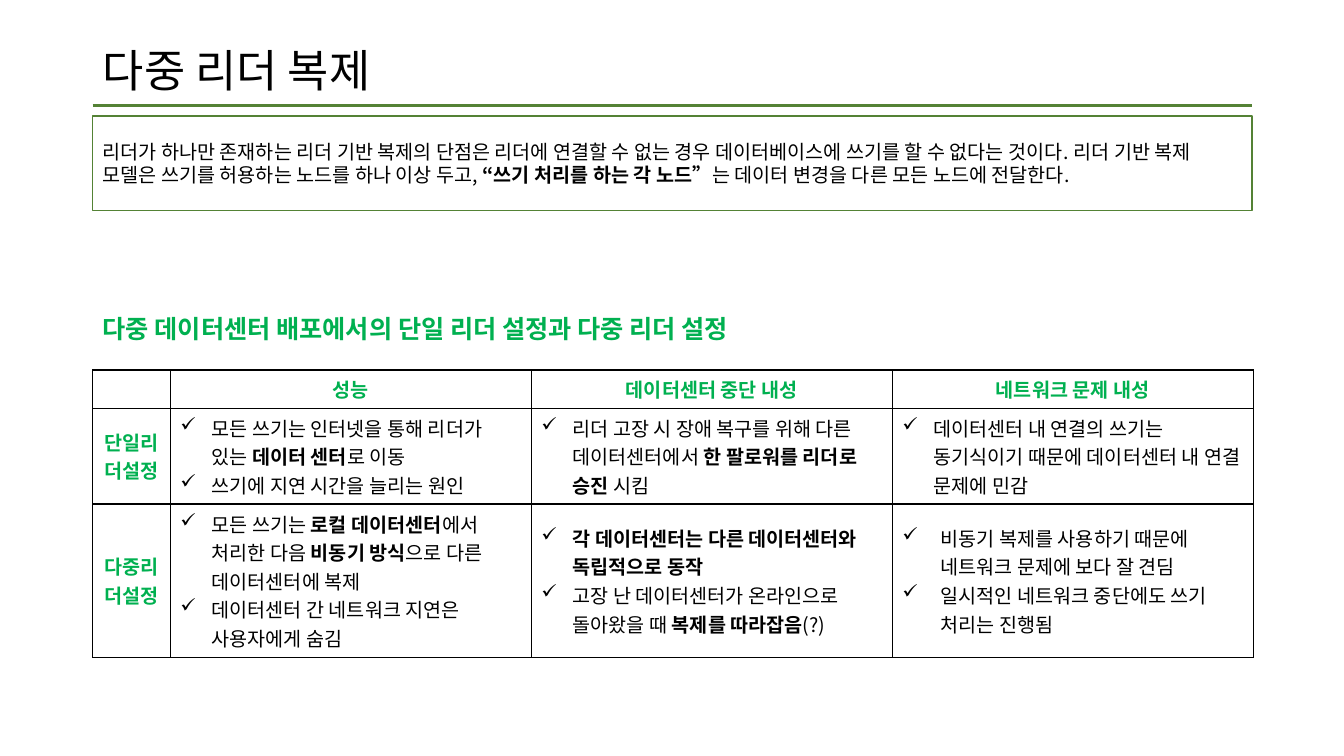
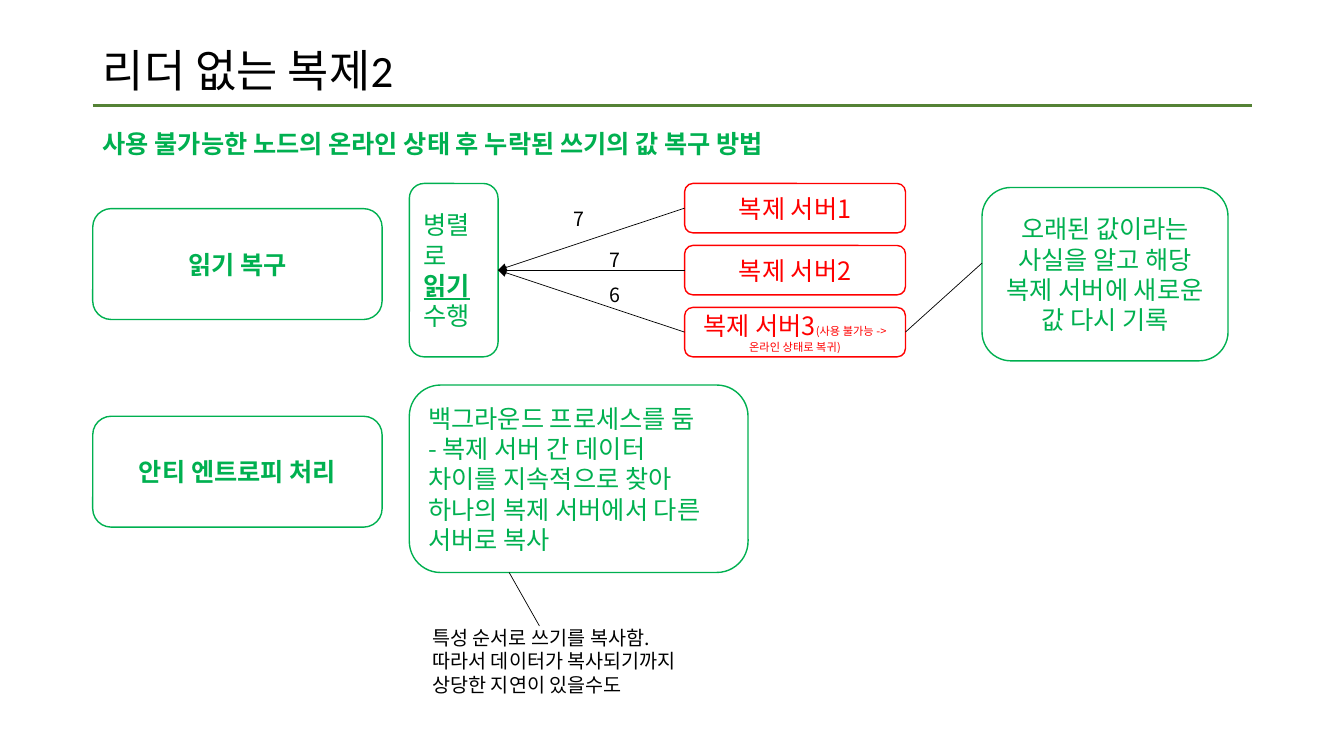
from lxml import etree
from pptx import Presentation, util as u
from pptx.dml.color import RGBColor
from pptx.enum import shapes, text
from pptx.oxml import ns

PX = 9144  # EMU in one px, 100 px to the inch
SLIDE_W, SLIDE_H = 1333, 750
LEFT, WIDTH = 92, 1150
TITLE_TOP, TITLE_H = 40, 65
TITLE_FONT, BODY_FONT = "Calibri", "Noto Sans CJK KR"
TITLE_LAYOUT = 5

BLACK = RGBColor(0, 0, 0)
WHITE = RGBColor(255, 255, 255)
GREEN = RGBColor(0x00, 0xB0, 0x50)
OLIVE = RGBColor(0x54, 0x82, 0x35)
RED = RGBColor(255, 0, 0)

CENTER, START = text.PP_ALIGN.CENTER, text.PP_ALIGN.LEFT
BOLD = {"bold": True}
UNDERLINED = {"bold": True, "underline": True}
NOTE = {"size": u.Pt(8)}

# A text is a list of paragraphs, a paragraph a list of runs,
# a run a string or a (string, font settings) pair.
INTRO = [[
    "리더가 하나만 존재하는 리더 기반 복제의 단점은 리더에 연결할 수 없는 경우 "
    "데이터베이스에 쓰기를 할 수 없다는 것이다. 리더 기반 복제 모델은 쓰기를 "
    "허용하는 노드를 하나 이상 두고, ",
    ("“쓰기 처리를 하는 각 노드”", BOLD),
    "는 데이터 변경을 다른 모든 노드에 전달한다.",
]]
HEADERS = ["", "성능", "데이터센터 중단 내성", "네트워크 문제 내성"]
SETUPS = [
    ("단일리더설정", [
        [["모든 쓰기는 인터넷을 통해 리더가 있는 ", ("데이터 센터", BOLD), "로 이동"],
         ["쓰기에 지연 시간을 늘리는 원인"]],
        [["리더 고장 시 장애 복구를 위해 다른 데이터센터에서 ",
          ("한 팔로워를 리더로 승진", BOLD), " 시킴"]],
        [["데이터센터 내 연결의 쓰기는 동기식이기 때문에 데이터센터 내 연결 문제에 민감"]],
    ]),
    ("다중리더설정", [
        [["모든 쓰기는 ", ("로컬 데이터센터", BOLD), "에서 처리한 다음 ",
          ("비동기 방식", BOLD), "으로 다른 데이터센터에 복제"],
         ["데이터센터 간 네트워크 지연은 사용자에게 숨김"]],
        [[("각 데이터센터는 다른 데이터센터와 독립적으로 동작", BOLD)],
         ["고장 난 데이터센터가 온라인으로 돌아왔을 때 ",
          ("복제를 따라잡음", BOLD), "(?)"]],
        [["비동기 복제를 사용하기 때문에 네트워크 문제에 보다 잘 견딤"],
         ["일시적인 네트워크 중단에도 쓰기 처리는 진행됨"]],
    ]),
]
COL_WIDTHS = [77, 358, 358, 358]
ROW_HEIGHTS = [38, 95, 152]
INDENT, WIDE_INDENT = 31, 38

METHODS = [("읽기 복구", 207), ("안티 엔트로피 처리", 413)]
METHOD_W, METHOD_H = 287, 110
READ = [["병렬로"], [("읽기", UNDERLINED), " 수행"]]
READ_BOX = (406, 182, 88, 172)
SERVERS = [
    [["복제 서버1"]],
    [["복제 서버2"]],
    [["복제 서버3", ("(사용 불가능 -> 온라인 상태로 복귀)", NOTE)]],
]
SERVER_LEFT, SERVER_W, SERVER_H = 679, 219, 49
VERSIONS = [("7", 559, 203), ("7", 595, 244), ("6", 595, 278)]
REWRITE = [["오래된 값이라는 사실을 알고 해당 복제 서버에 새로운 값 다시 기록"]]
BACKGROUND = [
    ["백그라운드 프로세스를 둠"],
    ["- 복제 서버 간 데이터 차이를 지속적으로 찾아 하나의 복제 서버에서 다른 서버로 복사"],
]
DELAY = [
    ["특성 순서로 쓰기를 복사함."],
    ["따라서 데이터가 복사되기까지 상당한 지연이 있을수도"],
]


def px(*lengths):
    return [u.Emu(round(n * PX)) for n in lengths]


def write(tf, paragraphs, size, color, align=START, spacing=1.0,
          font=BODY_FONT, base=None):
    tf.word_wrap = True
    for i, runs in enumerate(paragraphs):
        p = tf.add_paragraph() if i else tf.paragraphs[0]
        p.alignment, p.line_spacing = align, spacing
        for item in runs:
            content, style = item if isinstance(item, tuple) else (item, {})
            r = p.add_run()
            r.text = content
            settings = {"name": font, "size": u.Pt(size), "bold": False}
            for key, value in {**settings, **(base or {}), **style}.items():
                setattr(r.font, key, value)
            r.font.color.rgb = color
            east_asian = etree.SubElement(r.font._element, ns.qn("a:ea"))
            east_asian.set("typeface", BODY_FONT)


def add_box(slide, box, paragraphs, color, line, size=18, align=CENTER, fill=None,
            kind=shapes.MSO_SHAPE.ROUNDED_RECTANGLE, base=None, insets=(10, 10)):
    sp = slide.shapes.add_shape(kind, *px(*box))
    sp.shadow.inherit = False
    if fill is None:
        sp.fill.background()
    else:
        sp.fill.solid()
        sp.fill.fore_color.rgb = fill
    sp.line.color.rgb, sp.line.width = line, u.Pt(1)
    tf = sp.text_frame
    tf.vertical_anchor = text.MSO_ANCHOR.MIDDLE
    tf.margin_left, tf.margin_right = px(*insets)
    write(tf, paragraphs, size, color, align, base=base)
    return sp


def add_label(slide, box, paragraphs, size=14, color=BLACK, base=None):
    tf = slide.shapes.add_textbox(*px(*box)).text_frame
    tf.vertical_anchor = text.MSO_ANCHOR.MIDDLE
    write(tf, paragraphs, size, color, base=base)


def add_line(slide, start=(0, 0), end=(0, 0), color=BLACK, width=0.5, arrow=False):
    line = slide.shapes.add_connector(
        shapes.MSO_CONNECTOR.STRAIGHT, *px(*start, *end))
    line.line.color.rgb, line.line.width = color, u.Pt(width)
    sp_pr = line.element.spPr
    if arrow:
        etree.SubElement(sp_pr.find(ns.qn("a:ln")), ns.qn("a:tailEnd"), type="triangle")
    etree.SubElement(sp_pr, ns.qn("a:effectLst"))
    return line


def add_slide(prs, title):
    slide = prs.slides.add_slide(prs.slide_layouts[TITLE_LAYOUT])
    sp = slide.shapes.title
    sp.left, sp.top, sp.width, sp.height = px(LEFT, TITLE_TOP, WIDTH, TITLE_H)
    sp.text_frame.vertical_anchor = text.MSO_ANCHOR.MIDDLE
    write(sp.text_frame, [[title]], 32, BLACK, spacing=0.9, font=TITLE_FONT)
    y = TITLE_TOP + TITLE_H
    add_line(slide, (LEFT, y), (LEFT + WIDTH, y), OLIVE, 2.25)
    return slide


def add_subtitle(slide, top, content):
    add_label(slide, (LEFT, top, 916, 63), [[content]], 18, GREEN, BOLD)


def add_bullets(tf, indent):
    for p in tf.paragraphs:
        p_pr = p._p.get_or_add_pPr()
        margin = px(indent)[0]
        p_pr.set("marL", str(margin))
        p_pr.set("indent", str(-margin))
        etree.SubElement(p_pr, ns.qn("a:buChar"), char="✓")


def format_cell(cell):
    cell.fill.solid()
    cell.fill.fore_color.rgb = WHITE
    cell.vertical_anchor = text.MSO_ANCHOR.MIDDLE
    tc_pr = cell._tc.get_or_add_tcPr()
    for i, side in enumerate("LRTB"):
        ln = etree.Element(ns.qn(f"a:ln{side}"), w=str(u.Pt(1)))
        fill = etree.SubElement(ln, ns.qn("a:solidFill"))
        etree.SubElement(fill, ns.qn("a:srgbClr"), val=str(BLACK))
        tc_pr.insert(i, ln)


def add_setup_table(slide):
    frame = slide.shapes.add_table(
        len(ROW_HEIGHTS), len(COL_WIDTHS),
        *px(LEFT, 367, sum(COL_WIDTHS), sum(ROW_HEIGHTS)))
    table = frame.table
    table.first_row = table.horz_banding = False
    for column, width in zip(table.columns, px(*COL_WIDTHS)):
        column.width = width
    for row, height in zip(table.rows, px(*ROW_HEIGHTS)):
        row.height = height
    for cell in table.iter_cells():
        format_cell(cell)

    headings = [(0, c, name) for c, name in enumerate(HEADERS)]
    headings += [(r, 0, name) for r, (name, _) in enumerate(SETUPS, 1)]
    for r, c, name in headings:
        tf = table.cell(r, c).text_frame
        if name:
            write(tf, [[name]], 14, GREEN, CENTER, base=BOLD)
        else:  # keeps the empty cell from stretching its row
            etree.SubElement(tf.paragraphs[0]._p, ns.qn("a:endParaRPr"), sz="1400")
    for r, (_, cells) in enumerate(SETUPS, 1):
        for c, paragraphs in enumerate(cells, 1):
            tf = table.cell(r, c).text_frame
            write(tf, paragraphs, 14, BLACK)
            is_last = (r, c) == (len(SETUPS), len(cells))
            add_bullets(tf, WIDE_INDENT if is_last else INDENT)


def build_multi_leader(prs):
    slide = add_slide(prs, "다중 리더 복제")
    add_box(slide, (LEFT, 115, WIDTH, 94), INTRO, BLACK, OLIVE, 14, START,
            kind=shapes.MSO_SHAPE.RECTANGLE)
    add_subtitle(slide, 294, "다중 데이터센터 배포에서의 단일 리더 설정과 다중 리더 설정")
    add_setup_table(slide)


def build_leaderless(prs):
    slide = add_slide(prs, "리더 없는 복제2")
    add_subtitle(slide, 111, "사용 불가능한 노드의 온라인 상태 후 누락된 쓰기의 값 복구 방법")
    for name, top in METHODS:
        add_box(slide, (LEFT, top, METHOD_W, METHOD_H), [[name]], GREEN, GREEN,
                fill=WHITE, base=BOLD)

    read = add_box(slide, READ_BOX, READ, GREEN, GREEN, align=START, fill=WHITE)
    _, read_top, _, read_h = READ_BOX
    pitch = (read_h - SERVER_H) / (len(SERVERS) - 1)
    for i, paragraphs in enumerate(SERVERS):
        box = (SERVER_LEFT, read_top + i * pitch, SERVER_W, SERVER_H)
        server = add_box(slide, box, paragraphs, RED, RED, insets=(15, 15))
        reply = add_line(slide, arrow=True)
        reply.begin_connect(server, 1)
        reply.end_connect(read, 3)
    for version, left, top in VERSIONS:
        add_label(slide, (left, top, 44, 28), [[version]])

    add_box(slide, (974, 186, 244, 172), REWRITE, GREEN, GREEN, fill=WHITE)
    add_line(slide, end=(974, 261)).begin_connect(server, 3)

    add_box(slide, (406, 382, 336, 186), BACKGROUND, GREEN, GREEN,
            align=START, fill=WHITE, insets=(10, 20))
    add_line(slide, (505, 568), (535, 621))
    add_label(slide, (419, 605, 280, 101), DELAY)


def main():
    prs = Presentation()
    prs.slide_width, prs.slide_height = px(SLIDE_W, SLIDE_H)
    build_multi_leader(prs)
    build_leaderless(prs)
    prs.save("out.pptx")


if __name__ == "__main__":
    main()
